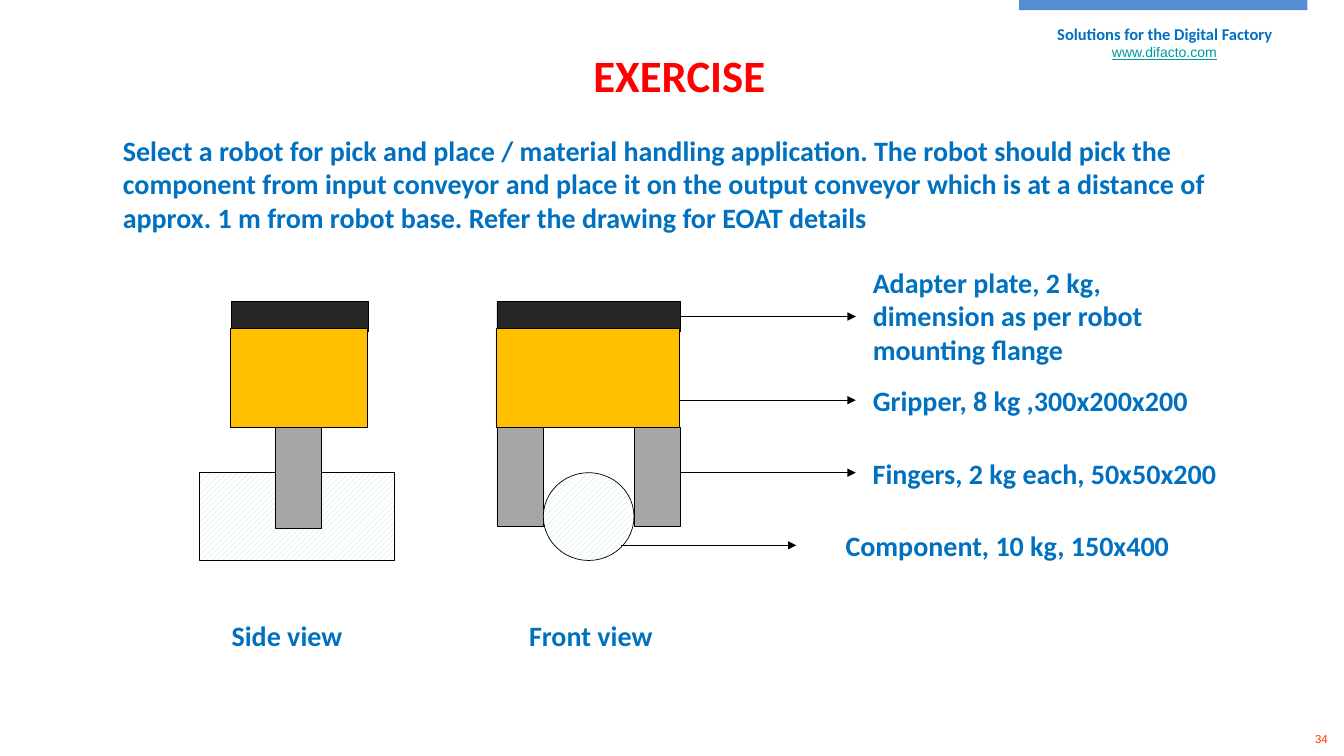
from pptx import Presentation
from pptx.util import Inches, Pt
from pptx.dml.color import RGBColor
from pptx.enum.dml import MSO_PATTERN
from pptx.enum.shapes import MSO_CONNECTOR, MSO_SHAPE
from pptx.enum.text import MSO_ANCHOR, PP_ALIGN
from pptx.oxml.ns import qn
from lxml import etree

RECT, OVAL = MSO_SHAPE.RECTANGLE, MSO_SHAPE.OVAL
LINE = MSO_CONNECTOR.STRAIGHT
HATCH = MSO_PATTERN.WIDE_UPWARD_DIAGONAL
LEFT, CENTER = PP_ALIGN.LEFT, PP_ALIGN.CENTER
TOP, MIDDLE = MSO_ANCHOR.TOP, MSO_ANCHOR.MIDDLE
COLORS = {
    "bar": "548DD4", "text": "0070C0", "title": "FF0000", "link": "009999",
    "number": "FF3300", "plate": "262626", "grip": "FFC000",
    "finger": "A6A6A6", "hatch": "BBE0E3", "paper": "FFFFFF", "line": "000000",
}
RGB = {name: RGBColor.from_string(code) for name, code in COLORS.items()}
CELL = Inches(0.1)  # grid of 133.3 columns by 75 rows

deck = Presentation()
deck.slide_width, deck.slide_height = round(133.33 * CELL), 75 * CELL
slide = deck.slides.add_slide(deck.slide_layouts[6])
shapes = slide.shapes


def add_text(box, text, size=20, color="text", align=LEFT, anchor=TOP,
             font="Calibri", bold=True, wrap=True):
    """Set text in a box given as column, row, columns wide, rows high."""
    label = shapes.add_textbox(*[round(n * CELL) for n in box])
    frame = label.text_frame
    frame.text = text
    frame.word_wrap = wrap
    frame.vertical_anchor = anchor
    par = frame.paragraphs[0]
    par.alignment = align
    face = par.runs[0].font
    face.name, face.size, face.bold = font, Pt(size), bold
    face.color.rgb = RGB[color]
    return face


def add_part(kind, box, color, edge=True):
    """Draw a shape in a box given as column, row, columns wide, rows high."""
    part = shapes.add_shape(kind, *[round(n * CELL) for n in box])
    part.shadow.inherit = False
    if color == "hatch":
        part.fill.patterned()
        part.fill.pattern = HATCH
        part.fill.fore_color.rgb = RGB["hatch"]
        part.fill.back_color.rgb = RGB["paper"]
    else:
        part.fill.solid()
        part.fill.fore_color.rgb = RGB[color]
    if edge:
        part.line.color.rgb = RGB["line"]
        part.line.width = Pt(0.5)
    else:
        part.line.fill.background()
    return part


# Header and page number
link = add_text((104.4, 2.9, 22.2, 4.6), "www.difacto.com", 10, "link",
                CENTER, MIDDLE, "Arial", False)
link.underline = True
add_text((98.9, 1.9, 33.3, 4.8), "Solutions for the Digital Factory", 11.8,
         align=CENTER)
add_text((128.9, 71.7, 4.4, 3.3), "34", 8.2, "number", CENTER, MIDDLE,
         "Arial", False)
add_part(RECT, (101.1, 0, 28.6, 1), "bar", edge=False)

# Title and task
add_text((50.4, 4.2, 34, 6.4), "EXERCISE", 32, "title", CENTER)
add_text((11.2, 12.7, 115.5, 11.1),
         "Select a robot for pick and place / material handling application. "
         "The robot should pick the component from input conveyor and place "
         "it on the output conveyor which is at a distance of approx. 1 m "
         "from robot base. Refer the drawing for EOAT details")

# Front view
for col in (49.3, 62.9):
    add_part(RECT, (col, 42.4, 4.6, 9.8), "finger")
add_part(OVAL, (53.9, 46.9, 9, 8.7), "hatch")
plate = add_part(RECT, (49.3, 29.9, 18.2, 3), "plate")
add_part(RECT, (49.2, 32.6, 18.2, 9.8), "grip")

# Side view
add_part(RECT, (23, 29.9, 13.5, 3), "plate")
add_part(RECT, (19.8, 46.9, 19.3, 8.7), "hatch")
add_part(RECT, (27.3, 40.7, 4.6, 11.7), "finger")
add_part(RECT, (22.9, 32.6, 13.5, 9.8), "grip")

# Callouts: arrow start, arrow row, label box, label, wrap
callouts = [
    (67.5, 31.4, (85.6, 25.8, 33.2, 11.1),
     "Adapter plate, 2 kg, dimension as per robot mounting flange", True),
    (67.5, 39.7, (85.6, 37.6, 33.5, 4.4), "Gripper, 8 kg ,300x200x200", False),
    (67.5, 46.9, (85.6, 44.8, 36.4, 4.4), "Fingers, 2 kg each, 50x50x200", False),
    (61.6, 54.1, (82.9, 51.9, 34.4, 4.4), "Component, 10 kg, 150x400", False),
]
for col, row, box, text, wrap in callouts:
    ends = (col, row, col + 17.4, row)
    arrow = shapes.add_connector(LINE, *[round(n * CELL) for n in ends])
    if text.startswith("Adapter"):
        arrow.begin_connect(plate, 3)
    arrow.line.color.rgb = RGB["line"]
    arrow.line.width = Pt(0.75)
    etree.SubElement(arrow.line._get_or_add_ln(), qn("a:tailEnd"), type="triangle")
    etree.SubElement(arrow._element.spPr, qn("a:effectLst"))
    add_text(box, text, wrap=wrap)

# View names
for col, name in ((22, "Side view"), (51.5, "Front view")):
    add_text((col, 60.9, 17.4, 4.4), name)

deck.save("out.pptx")
